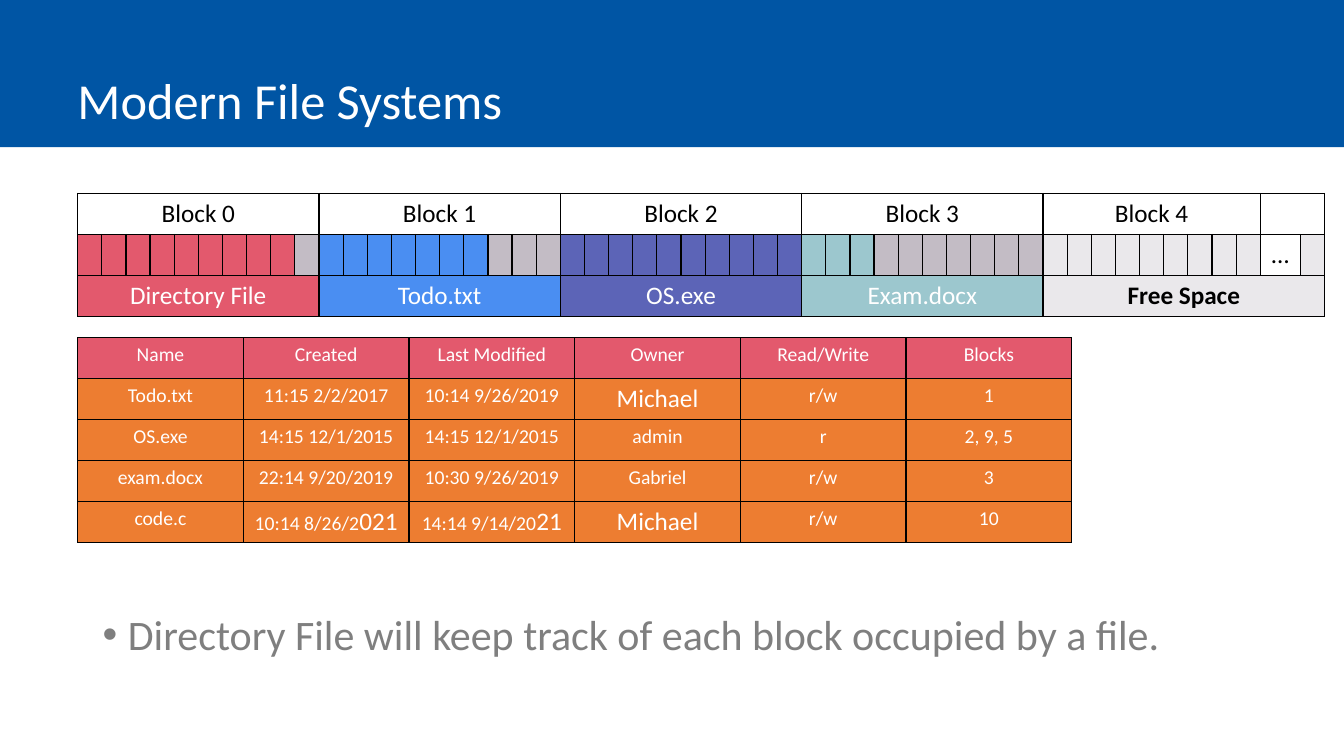
from dataclasses import dataclass

from lxml.etree import SubElement
from pptx import Presentation
from pptx.dml.color import RGBColor
from pptx.enum.text import MSO_ANCHOR, PP_ALIGN
from pptx.enum.shapes import MSO_SHAPE
from pptx.oxml.ns import qn
from pptx.util import Inches, Pt


@dataclass(frozen=True)
class Theme:
    font: str = "Calibri"
    banner: str = "0055A4"
    white: str = "FFFFFF"
    black: str = "000000"
    body: str = "7F7F7F"
    directory: str = "E3596D"
    todo: str = "4A8EF2"
    program: str = "5C64B7"
    exam: str = "9CC7CE"
    unused: str = "C3BCC5"
    free: str = "EAE8EB"
    entry: str = "ED7D31"
    title_size: int = 36
    body_size: int = 30
    block_size: int = 18
    entry_size: int = 14


class SlideBuilder:
    def __init__(self, slide, theme):
        self.slide = slide
        self.theme = theme

    def style(self, paragraph, size, color, bold=False):
        font = paragraph.font
        font.name = self.theme.font
        font.size = Pt(size)
        font.bold = bold
        font.color.rgb = RGBColor.from_string(color)

    def banner(self, left, top, width, height):
        shape = self.slide.shapes.add_shape(
            MSO_SHAPE.RECTANGLE, Inches(left), Inches(top), Inches(width), Inches(height))
        shape.shadow.inherit = False
        shape.fill.solid()
        shape.fill.fore_color.rgb = RGBColor.from_string(self.theme.banner)
        shape.line.fill.background()

    def text(self, text, left, top, width, height, size, color,
             anchor=MSO_ANCHOR.TOP, bullet=False):
        box = self.slide.shapes.add_textbox(
            Inches(left), Inches(top), Inches(width), Inches(height))
        frame = box.text_frame
        frame.word_wrap = True
        frame.vertical_anchor = anchor
        paragraph = frame.paragraphs[0]
        paragraph.text = text
        paragraph.line_spacing = 0.9
        if bullet:
            self.bullet(paragraph, color)
        self.style(paragraph, size, color)

    def bullet(self, paragraph, color):
        properties = paragraph._p.get_or_add_pPr()
        properties.set("marL", str(Inches(0.25)))
        properties.set("indent", str(-Inches(0.25)))
        bullet_color = SubElement(properties, qn("a:buClr"))
        SubElement(bullet_color, qn("a:srgbClr"), val=color)
        SubElement(properties, qn("a:buFont"), typeface="Arial")
        SubElement(properties, qn("a:buChar"), char="•")

    def table(self, left, top, height, row_count, column_widths):
        frame = self.slide.shapes.add_table(
            row_count, len(column_widths), Inches(left), Inches(top),
            Inches(sum(column_widths)), Inches(height))
        table = frame.table
        table.first_row = False
        table.horz_banding = False
        for column, width in zip(table.columns, column_widths):
            column.width = Inches(width)
        for row in table.rows:
            row.height = Inches(height / row_count)
        return table

    def cell(self, cell, fill):
        properties = cell._tc.get_or_add_tcPr()
        for side in ("lnL", "lnR", "lnT", "lnB"):
            border = SubElement(properties, qn(f"a:{side}"), w=str(Pt(1)))
            border_fill = SubElement(border, qn("a:solidFill"))
            SubElement(border_fill, qn("a:srgbClr"), val=self.theme.black)
        cell.fill.solid()
        cell.fill.fore_color.rgb = RGBColor.from_string(fill)

    def cell_text(self, cell, parts, color, bold=False):
        paragraph = cell.text_frame.paragraphs[0]
        paragraph.alignment = PP_ALIGN.CENTER
        self.style(paragraph, parts[0][1], color, bold)
        for text, size in parts:
            run = paragraph.add_run()
            run.text = text
            if len(parts) > 1:
                run.font.size = Pt(size)

    def merged_row(self, table, row, entries):
        start = 0
        for text, span, fill, color, bold in entries:
            for column in range(start, start + span):
                self.cell(table.cell(row, column), fill)
            first = table.cell(row, start)
            first.merge(table.cell(row, start + span - 1))
            if text:
                self.cell_text(first, [(text, self.theme.block_size)], color, bold)
            start += span

    def block_table(self, files, left, top, height, block_width):
        theme = self.theme
        unit = block_width / 10
        table = self.table(left, top, height, 3, [unit] * 49 + [0.4, unit])
        headings = [(f"Block {number}", 10 if number < len(files) else 9,
                     theme.white, theme.black, False) for number in range(len(files) + 1)]
        self.merged_row(table, 0, headings + [("", 2, theme.white, theme.black, False)])

        fills = []
        for _, color, used in files:
            fills += [color] * used + [theme.unused] * (10 - used)
        fills += [theme.free] * 9 + [theme.white, theme.free]
        for column, fill in enumerate(fills):
            self.cell(table.cell(1, column), fill)
        self.cell_text(table.cell(1, 49), [("…", theme.block_size)], theme.black)

        labels = [(name, 10, color, theme.white, False) for name, color, _ in files]
        self.merged_row(table, 2, labels + [("Free Space", 11, theme.free, theme.black, True)])

    def directory_table(self, rows, left, top, width, height):
        theme = self.theme
        column_count = len(rows[0])
        table = self.table(left, top, height, len(rows), [width / column_count] * column_count)
        for row, values in enumerate(rows):
            for column, value in enumerate(values):
                cell = table.cell(row, column)
                self.cell(cell, theme.entry if row else theme.directory)
                parts = [(value, theme.entry_size)] if isinstance(value, str) else value
                self.cell_text(cell, parts, theme.white)


def main():
    presentation = Presentation()
    presentation.slide_width = Inches(13.33)
    presentation.slide_height = Inches(7.5)
    theme = Theme()
    builder = SlideBuilder(presentation.slides.add_slide(presentation.slide_layouts[6]), theme)

    builder.banner(0, 0, 13.33, 1.46)
    builder.text("Modern File Systems", 0.67, 0, 11.75, 1.34,
                 theme.title_size, theme.white, MSO_ANCHOR.BOTTOM)
    builder.text("Directory File will keep track of each block occupied by a file.",
                 0.92, 6.04, 11.89, 1.22, theme.body_size, theme.body, bullet=True)

    files = [
        ("Directory File", theme.directory, 9),
        ("Todo.txt", theme.todo, 7),
        ("OS.exe", theme.program, 10),
        ("Exam.docx", theme.exam, 3),
    ]
    builder.block_table(files, 0.77, 1.92, 1.22, 2.39)

    small, large = theme.entry_size, theme.block_size
    michael = [("Michael", large)]
    rows = [
        ["Name", "Created", "Last Modified", "Owner", "Read/Write", "Blocks"],
        ["Todo.txt", "11:15 2/2/2017", "10:14 9/26/2019", michael, "r/w", "1"],
        ["OS.exe", "14:15 12/1/2015", "14:15 12/1/2015", "admin", "r", "2, 9, 5"],
        ["exam.docx", "22:14 9/20/2019", "10:30 9/26/2019", "Gabriel", "r/w", "3"],
        ["code.c", [("10:14 8/26/2", small), ("021", large)],
         [("14:14 9/14/20", small), ("21", large)], michael, "r/w", "10"],
    ]
    builder.directory_table(rows, 0.77, 3.35, 9.86, 2.03)
    presentation.save("out.pptx")


if __name__ == "__main__":
    main()
